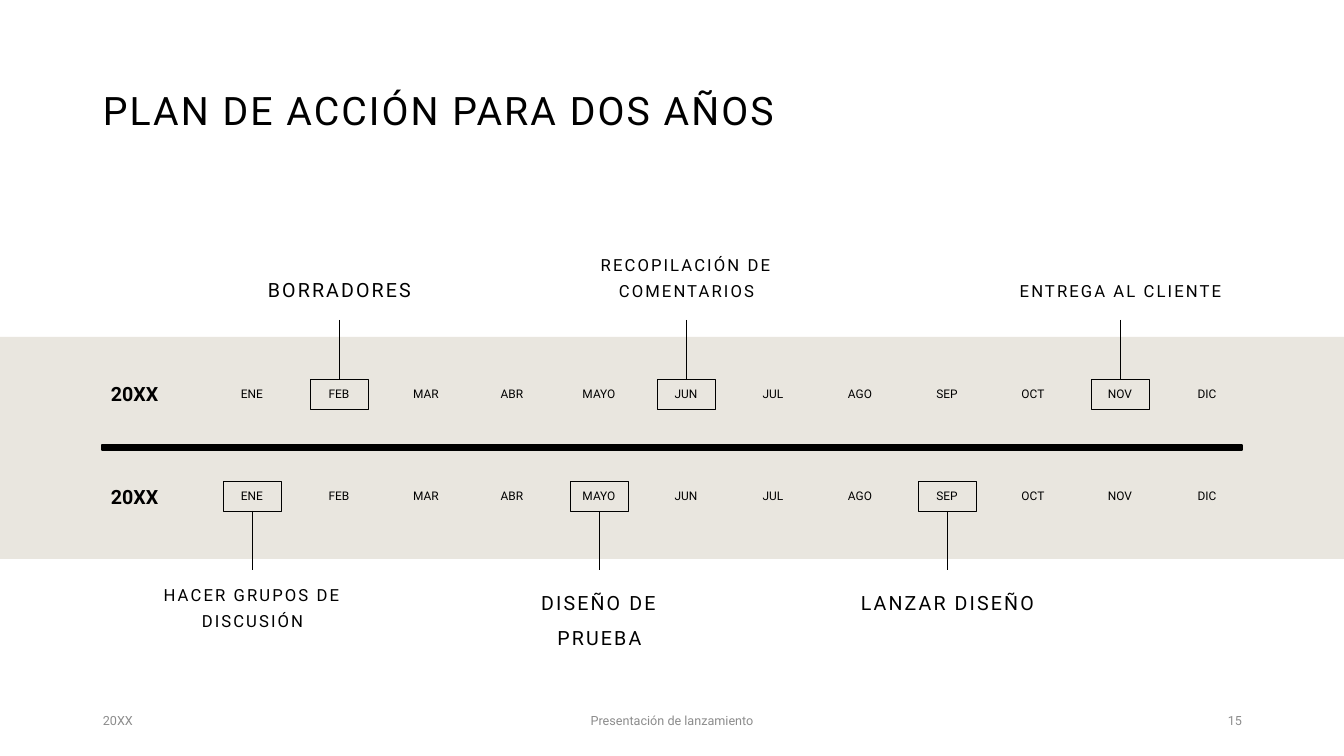
from lxml import etree
from pptx import Presentation
from pptx.dml.color import RGBColor
from pptx.enum.shapes import MSO_CONNECTOR, MSO_SHAPE
from pptx.enum.text import MSO_ANCHOR, PP_ALIGN
from pptx.oxml.ns import qn
from pptx.util import Emu, Pt

PX = 914400 / 100.8
RECT, STRAIGHT = MSO_SHAPE.RECTANGLE, MSO_CONNECTOR.STRAIGHT
LEFT, CENTER, RIGHT = PP_ALIGN.LEFT, PP_ALIGN.CENTER, PP_ALIGN.RIGHT
TOP, MIDDLE, BOTTOM = MSO_ANCHOR.TOP, MSO_ANCHOR.MIDDLE, MSO_ANCHOR.BOTTOM
COLORS = {"ink": "000000", "band": "E9E6DF", "footer": "8C8C8C"}

prs = Presentation()
prs.slide_width, prs.slide_height = Emu(round(1344 * PX)), Emu(round(756 * PX))
s = prs.slides.add_slide(prs.slide_layouts[6])


def add_text(text, box, size, align=LEFT, anchor=MIDDLE, color="ink",
             spacing=1.0, before=0, bold=False, tracking=0):
    tf = s.shapes.add_textbox(*[Emu(round(v * PX)) for v in box]).text_frame
    tf.word_wrap = True
    tf.vertical_anchor = anchor
    p = tf.paragraphs[0]
    p.text = text
    p.alignment = align
    p.line_spacing = spacing
    p.space_before = Pt(before)
    r = p.runs[0]
    r.font.name = "Roboto"
    r.font.size = Pt(size)
    r.font.bold = bold
    r.font.color.rgb = RGBColor.from_string(COLORS[color])
    if tracking:
        r.font._element.set("spc", str(tracking))


def add_box(box, fill=None, line=0):
    sp = s.shapes.add_shape(RECT, *[Emu(round(v * PX)) for v in box])
    sp.shadow.inherit = False
    if fill:
        sp.fill.solid()
        sp.fill.fore_color.rgb = RGBColor.from_string(COLORS[fill])
    else:
        sp.fill.background()
    if line:
        sp.line.color.rgb = RGBColor.from_string(COLORS["ink"])
        sp.line.width = Pt(line)
    else:
        sp.line.fill.background()


add_box((0, 337, 1344, 222), fill="band")
add_box((102, 445, 1140, 5), fill="ink", line=1)
add_text("PLAN DE ACCIÓN PARA DOS AÑOS", (93, 40, 1159, 146), 28, spacing=0.9, tracking=150)

MONTHS = ["ENE", "FEB", "MAR", "ABR", "MAYO", "JUN",
          "JUL", "AGO", "SEP", "OCT", "NOV", "DIC"]
centers = {month: 252 + round(i * 955 / 11) for i, month in enumerate(MONTHS)}

# Each year: label top, month top, marker top, stem top, callout top, anchor, callouts
YEARS = [
    (370, 386, 379, 320, 245, BOTTOM, [
        ("FEB", "BORRADORES", 14, 1.5),
        ("JUN", "RECOPILACIÓN DE COMENTARIOS", 11.9, 1.3),
        ("NOV", "ENTREGA AL CLIENTE", 11.9, 1.4)]),
    (473, 488, 481, 511, 574, TOP, [
        ("ENE", "HACER GRUPOS DE DISCUSIÓN", 11.9, 1.3),
        ("MAYO", "DISEÑO DE PRUEBA", 14, 1.5),
        ("SEP", "LANZAR DISEÑO", 14, 1.5)]),
]

for label_y, month_y, marker_y, stem_y, callout_y, anchor, callouts in YEARS:
    add_text("20XX", (101, label_y, 81, 50), 14, spacing=0.9, before=10, bold=True)
    for month, x in centers.items():
        add_text(month, (x - 35, month_y, 70, 22), 8.5, CENTER, TOP, spacing=0.7, before=10)
    for month, text, size, spacing in callouts:
        x = centers[month]
        add_text(text, (x - 113, callout_y, 227, 61), size, CENTER, anchor,
                 spacing=spacing, before=10, tracking=150)
        stem = s.shapes.add_connector(
            STRAIGHT, *[Emu(round(v * PX)) for v in (x, stem_y, x, stem_y + 59)])
        stem.line.color.rgb = RGBColor.from_string(COLORS["ink"])
        stem.line.width = Pt(0.5)
        etree.SubElement(stem._element.spPr, qn("a:effectLst"))
        add_box((x - 29, marker_y, 58, 30), line=0.5)

for text, x, width, align in [("20XX", 93, 302, LEFT),
                              ("Presentación de lanzamiento", 445, 454, CENTER),
                              ("15", 950, 302, RIGHT)]:
    add_text(text, (x, 701, width, 40), 9, align, color="footer")

prs.save("out.pptx")
